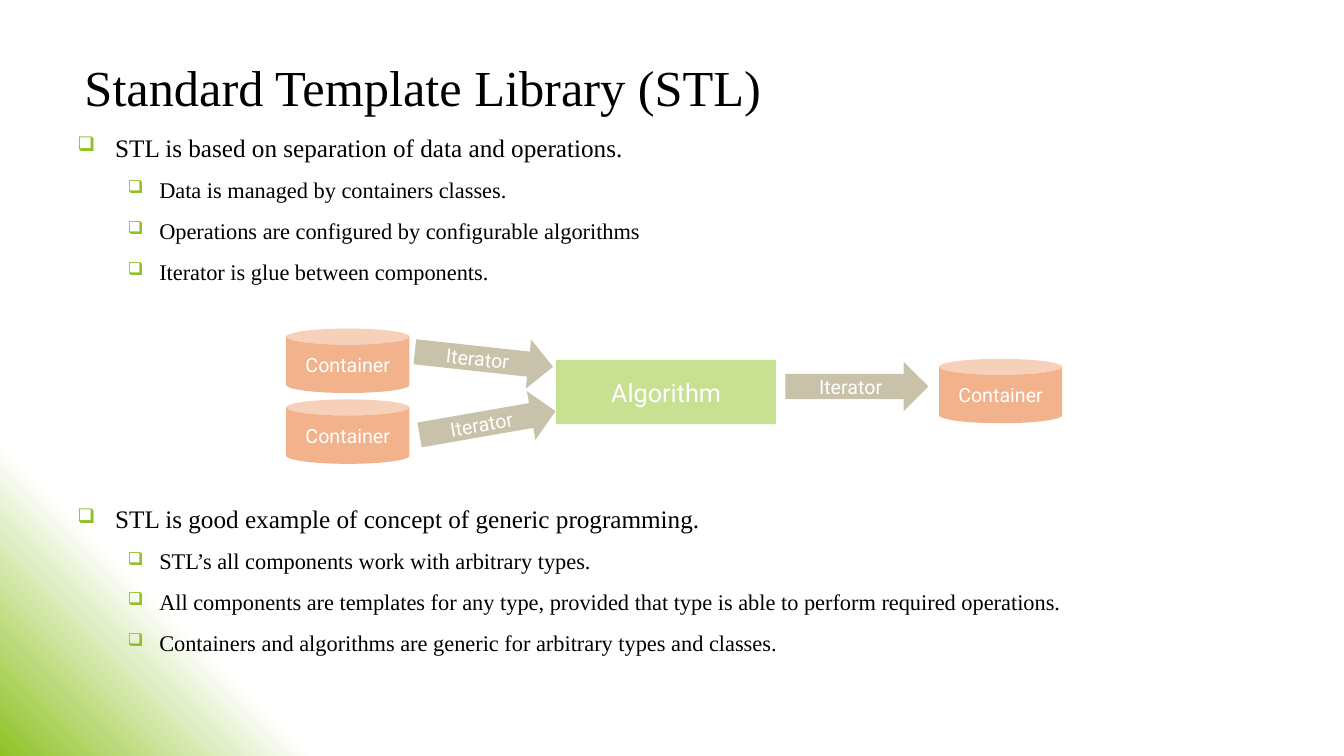
from dataclasses import dataclass

from lxml import etree
from pptx import Presentation
from pptx.dml.color import RGBColor
from pptx.enum.shapes import MSO_SHAPE
from pptx.enum.text import MSO_ANCHOR, PP_ALIGN
from pptx.oxml import parse_xml
from pptx.oxml.ns import nsdecls, qn
from pptx.util import Pt

CAN = MSO_SHAPE.CAN
RECTANGLE = MSO_SHAPE.RECTANGLE
RIGHT_ARROW = MSO_SHAPE.RIGHT_ARROW
TOP = MSO_ANCHOR.TOP
MIDDLE = MSO_ANCHOR.MIDDLE
LEFT = PP_ALIGN.LEFT
CENTER = PP_ALIGN.CENTER


@dataclass(frozen=True)
class Theme:
    white: str = "FFFFFF"
    black: str = "000000"
    green: str = "90C226"
    orange: str = "E76618"
    khaki: str = "918655"
    prose_font: str = "Times New Roman"
    diagram_font: str = "Roboto"
    title_size: int = 36
    heading_size: int = 18
    detail_size: int = 16
    algorithm_size: int = 18
    label_size: int = 14


THEME = Theme()

OUTLINE = [
    ("STL is based on separation of data and operations.", [
        "Data is managed by containers classes.",
        "Operations are configured by configurable algorithms",
        "Iterator is glue between components.",
    ]),
    ("STL is good example of concept of generic programming.", [
        "STL’s all components work with arbitrary types.",
        "All components are templates for any type, provided that type is able "
        "to perform required operations.",
        "Containers and algorithms are generic for arbitrary types and classes.",
    ]),
]
LEVELS = [
    {"size": THEME.heading_size, "margin": 27, "hanging": 27},
    {"size": THEME.detail_size, "margin": 58.5, "hanging": 22.5},
]
ITEM_GAP = 10
DIAGRAM_GAP = 156

CONTAINER_SIZE = (88, 46)
CONTAINERS = [(204.5, 234.7), (204.5, 285.3), (670.8, 256.3)]
ITERATORS = [
    (296, 239, 99.3, 35.3, 6.2),
    (299, 284.6, 98.6, 35.3, 350.1),
    (561, 258.4, 102.2, 35.3, 0),
]


def apply_format(target, values):
    for attribute, value in values.items():
        setattr(target, attribute, value)


def paint_background(slide):
    slide.background.fill.solid()
    properties = slide.element.xpath(".//p:bgPr")[0]
    stops = [(0, THEME.white), (85, THEME.white), (100, THEME.green)]
    stop_xml = "".join(
        f'<a:gs pos="{position * 1000}"><a:srgbClr val="{color}"/></a:gs>'
        for position, color in stops
    )
    properties[0] = parse_xml(
        f'<a:gradFill {nsdecls("a")} rotWithShape="1"><a:gsLst>{stop_xml}</a:gsLst>'
        '<a:path path="circle"><a:fillToRect l="100000" b="100000"/></a:path>'
        "</a:gradFill>"
    )


def write(paragraph, text, size, font, color, alignment=LEFT):
    paragraph.alignment = alignment
    run = paragraph.add_run()
    run.text = text
    apply_format(run.font, {"size": Pt(size), "name": font})
    run.font.color.rgb = RGBColor.from_string(color)


def add_text_frame(slide, bounds, anchor):
    frame = slide.shapes.add_textbox(*map(Pt, bounds)).text_frame
    apply_format(frame, {"word_wrap": True, "vertical_anchor": anchor})
    return frame


def add_title(slide, text):
    frame = add_text_frame(slide, (53.3, 33.1, 676.8, 57.6), MIDDLE)
    write(frame.paragraphs[0], text, THEME.title_size, THEME.prose_font, THEME.black)


def add_bullet(paragraph, level):
    properties = paragraph._p.get_or_add_pPr()
    properties.set("marL", str(Pt(level["margin"])))
    properties.set("indent", str(-Pt(level["hanging"])))
    color = etree.SubElement(properties, qn("a:buClr"))
    etree.SubElement(color, qn("a:srgbClr"), val=THEME.green)
    etree.SubElement(properties, qn("a:buSzPct"), val="80000")
    etree.SubElement(properties, qn("a:buChar"), char="❑")


def add_outline(slide, outline):
    frame = add_text_frame(slide, (48.2, 90.7, 864, 398.2), TOP)
    for section, (heading, details) in enumerate(outline):
        items = [(heading, 0)] + [(detail, 1) for detail in details]
        for text, depth in items:
            starts_outline = section == 0 and depth == 0
            paragraph = frame.paragraphs[0] if starts_outline else frame.add_paragraph()
            follows_diagram = section > 0 and depth == 0
            gap = DIAGRAM_GAP if follows_diagram else ITEM_GAP
            apply_format(paragraph, {"level": depth, "space_before": Pt(gap)})
            level = LEVELS[depth]
            write(paragraph, text, level["size"], THEME.prose_font, THEME.black)
            add_bullet(paragraph, level)


def add_block(slide, kind, bounds, text, color, size=THEME.label_size):
    block = slide.shapes.add_shape(kind, *map(Pt, bounds))
    block.shadow.inherit = False
    block.line.fill.background()
    block.fill.solid()
    block.fill.fore_color.rgb = RGBColor.from_string(color)
    fill_color = block.element.spPr.find(qn("a:solidFill"))[0]
    etree.SubElement(fill_color, qn("a:alpha"), val="50000")
    frame = block.text_frame
    apply_format(frame, {"word_wrap": True, "vertical_anchor": MIDDLE})
    write(frame.paragraphs[0], text, size, THEME.diagram_font, THEME.white, CENTER)
    return block


def add_iterator(slide, bounds, rotation):
    arrow = add_block(slide, RIGHT_ARROW, bounds, "Iterator", THEME.khaki)
    arrow.rotation = rotation
    arrow.adjustments[0] = 0.51


def add_diagram(slide):
    for corner in CONTAINERS:
        add_block(slide, CAN, corner + CONTAINER_SIZE, "Container", THEME.orange)
    add_block(slide, RECTANGLE, (397.3, 257, 157, 46), "Algorithm",
              THEME.green, THEME.algorithm_size)
    for *bounds, rotation in ITERATORS:
        add_iterator(slide, bounds, rotation)


def main():
    presentation = Presentation()
    apply_format(presentation, {"slide_width": Pt(960), "slide_height": Pt(540)})
    slide = presentation.slides.add_slide(presentation.slide_layouts[6])
    paint_background(slide)
    add_title(slide, "Standard Template Library (STL)")
    add_outline(slide, OUTLINE)
    add_diagram(slide)
    presentation.save("out.pptx")


if __name__ == "__main__":
    main()
